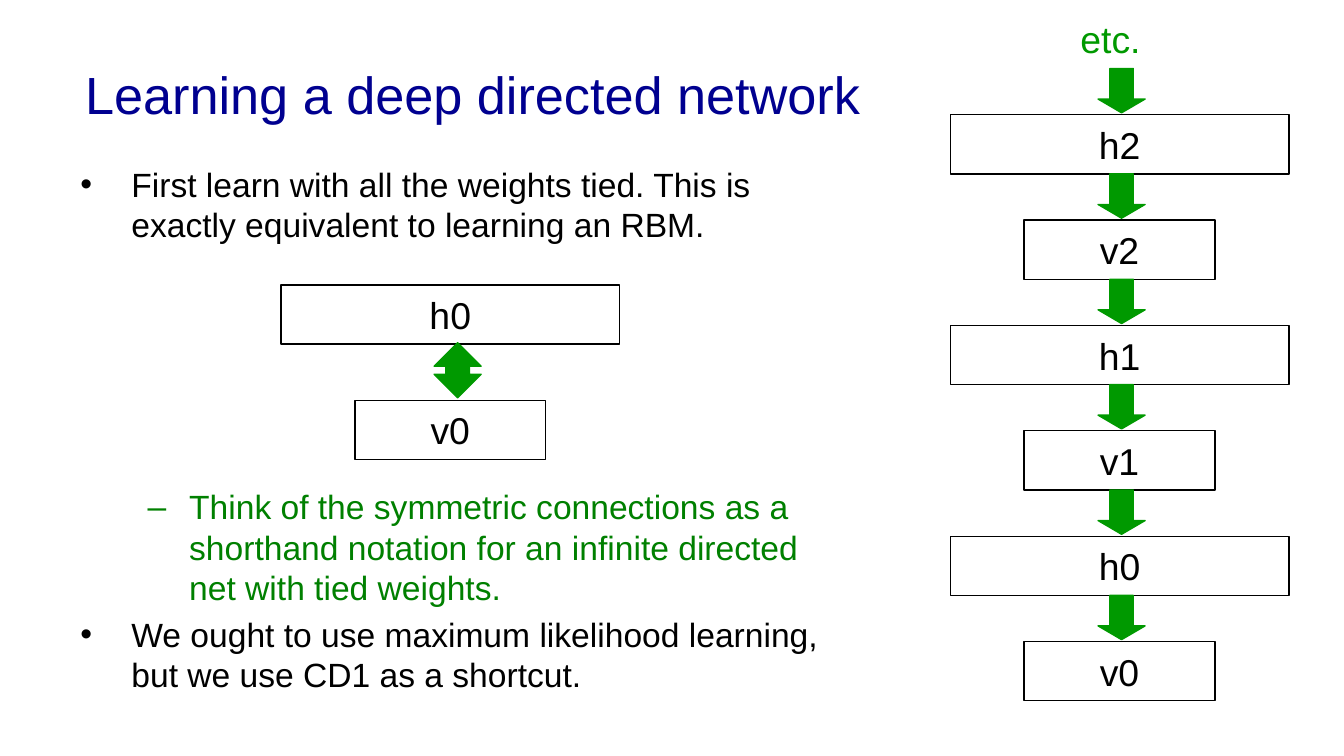
from lxml import etree
from pptx import Presentation
from pptx import util as u
from pptx.dml.color import RGBColor
from pptx.enum import shapes, text
from pptx.oxml import ns

HUES = {"title": "000090", "ink": "000000", "note": "008000", "arrow": "009900"}
FONT = "Arial"
COLS, ROWS = 100, 56.25
CELL = u.Inches(0.1)
WIDE, SLIM, TALL = 25.2, 14.2, 4.4
SHAPE = shapes.MSO_SHAPE
ALIGN = text.PP_ALIGN
POINTS = [
    ("First learn with all the weights tied. This is exactly equivalent "
     "to learning an RBM.", "•", "ink", 0.38, 0.38, 0),
    ("Think of the symmetric connections as a shorthand notation for an "
     "infinite directed net with tied weights.", "–", "note", 0.81, 0.31, 129.6),
    ("We ought to use maximum likelihood learning, but we use CD1 as a "
     "shortcut.", "•", "ink", 0.38, 0.38, 3.6),
]


def hue(name):
    """Return the named colour."""
    return RGBColor.from_string(HUES[name])


def area(left, top, width, height):
    """Turn grid columns and rows into slide lengths."""
    return [round(n * CELL) for n in (left, top, width, height)]


def style(para, size, color, align=ALIGN.LEFT):
    """Format a paragraph and its runs."""
    para.alignment = align
    for run in para.runs:
        run.font.name = FONT
        run.font.size = u.Pt(size)
        run.font.color.rgb = hue(color)


def label(slide, words, place, size, color, align=ALIGN.LEFT):
    """Add one line of text, centred in height."""
    frame = slide.shapes.add_textbox(*area(*place)).text_frame
    frame.word_wrap = True
    frame.vertical_anchor = text.MSO_ANCHOR.MIDDLE
    frame.text = words
    style(frame.paragraphs[0], size, color, align)


def bullet(para, mark, left, hang):
    """Give a paragraph a hanging bullet, with lengths in inches."""
    props = para._p.get_or_add_pPr()
    props.set("marL", str(u.Inches(left)))
    props.set("indent", str(-u.Inches(hang)))
    etree.SubElement(props, ns.qn("a:buFont"), typeface=FONT)
    etree.SubElement(props, ns.qn("a:buChar"), char=mark)


def body(slide, place):
    """Add the bulleted points."""
    frame = slide.shapes.add_textbox(*area(*place)).text_frame
    frame.word_wrap = True
    frame.text = "\n".join(point[0] for point in POINTS)
    for para, point in zip(frame.paragraphs, POINTS):
        _, mark, color, left, hang, gap = point
        para.space_before = u.Pt(gap)
        bullet(para, mark, left, hang)
        para.level = 1 if mark == "–" else 0
        style(para, 18, color)


def layer(slide, name, mid, top):
    """Add a layer box, wide when hidden and slim when visible."""
    width = WIDE if name.startswith("h") else SLIM
    box = slide.shapes.add_shape(
        SHAPE.RECTANGLE, *area(mid - width / 2, top, width, TALL))
    box.shadow.inherit = False
    box.fill.background()
    box.line.color.rgb = hue("ink")
    box.line.width = u.Pt(0.75)
    box.text_frame.text = name
    style(box.text_frame.paragraphs[0], 20, "ink", ALIGN.CENTER)


def arrow(slide, kind, place, bends):
    """Add a green block arrow."""
    item = slide.shapes.add_shape(kind, *area(*place))
    item.shadow.inherit = False
    for spot, bend in enumerate(bends):
        item.adjustments[spot] = bend
    item.fill.solid()
    item.fill.fore_color.rgb = hue("arrow")
    item.line.color.rgb = hue("arrow")
    item.line.width = u.Pt(0.75)


def stack(slide, names, mid, top, step):
    """Add a column of layers with an arrow down into each."""
    for row, name in enumerate(names):
        y = top + row * step
        layer(slide, name, mid, y)
        arrow(slide, SHAPE.DOWN_ARROW,
              (mid - 1.6, y + TALL - step, 3.5, 3.3), (0.5, 0.31))


def main():
    """Build the slide and save it."""
    deck = Presentation()
    deck.slide_width = round(COLS * CELL)
    deck.slide_height = round(ROWS * CELL)
    slide = deck.slides.add_slide(deck.slide_layouts[6])
    label(slide, "Learning a deep directed network", (5, 2.3, 60.3, 9.4),
          28, "title", ALIGN.CENTER)
    body(slide, (5, 11.7, 58.3, 41))
    label(slide, "etc.", (79.4, 0.7, 12.2, TALL), 20, "arrow")
    stack(slide, ["h2", "v2", "h1", "v1", "h0", "v0"], 83.3, 8.54, 7.84)
    layer(slide, "h0", 33.5, 21.2)
    layer(slide, "v0", 33.5, 29.8)
    arrow(slide, SHAPE.UP_DOWN_ARROW, (32.3, 25.5, 3.5, 4.1), (0.31, 0.5))
    deck.save("out.pptx")


if __name__ == "__main__":
    main()
